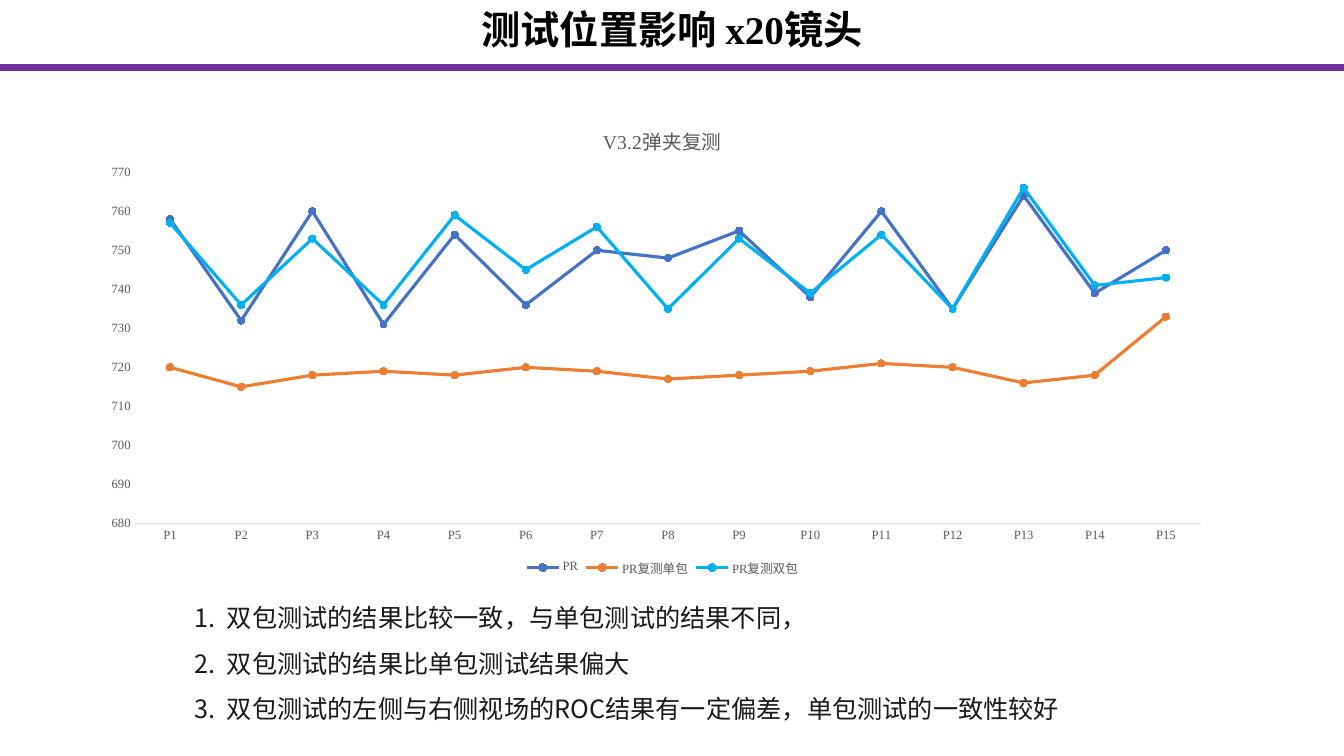
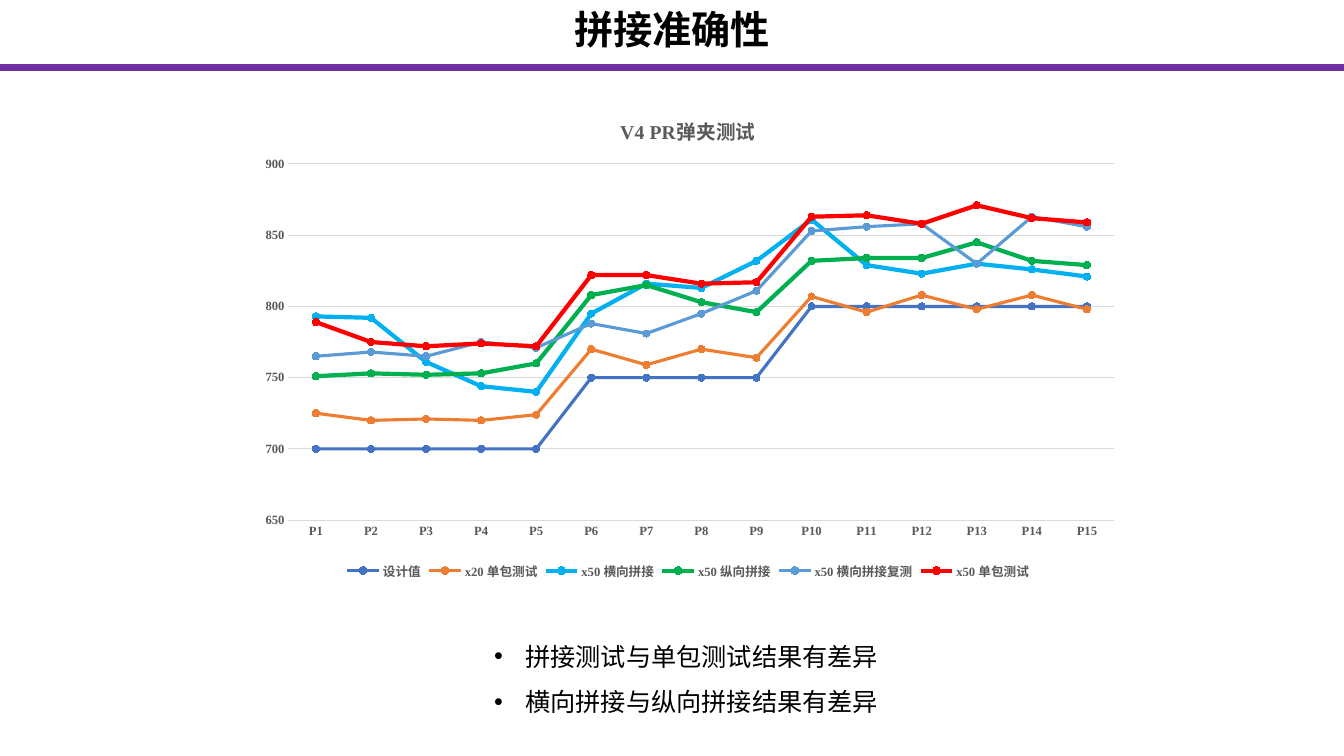
from dataclasses import dataclass
from typing import Any

from lxml.etree import SubElement
from pptx import Presentation
from pptx.chart.data import CategoryChartData
from pptx.dml.color import RGBColor
from pptx.enum.chart import XL_CHART_TYPE as ChartType
from pptx.enum.chart import XL_LEGEND_POSITION as LegendPosition
from pptx.enum.chart import XL_MARKER_STYLE as Marker
from pptx.enum.chart import XL_TICK_MARK as TickMark
from pptx.enum.shapes import MSO_CONNECTOR as Connector
from pptx.enum.text import MSO_ANCHOR as Anchor
from pptx.enum.text import MSO_AUTO_SIZE as AutoSize
from pptx.enum.text import PP_ALIGN as Align
from pptx.oxml import parse_xml
from pptx.oxml.ns import nsdecls, qn
from pptx.util import Inches, Pt

Box = tuple[float, float, float, float]


@dataclass(frozen=True)
class Theme:
    black: str = "000000"
    ink: str = "171A1D"
    gray: str = "595959"
    rule: str = "D9D9D9"
    band: str = "7030A0"
    blue: str = "4472C4"
    orange: str = "ED7D31"
    cyan: str = "00B0F0"
    green: str = "00B050"
    sky: str = "5B9BD5"
    red: str = "FF0000"
    serif: str = "Times New Roman"
    sans: str = "Noto Sans CJK SC"
    title_size: float = 28
    body_size: float = 18
    chart_title_size: float = 14
    label_size: float = 9
    band_width: float = 5
    hairline: float = 0.75


THEME = Theme()
WIDTH, HEIGHT = 13.33, 7.5
BAND_Y = 0.67
POSITIONS = [f"P{number}" for number in range(1, 16)]


@dataclass(frozen=True)
class Curve:
    name: str
    color: str
    values: list[int]
    width: float = 2.25


@dataclass(frozen=True)
class Trend:
    title: str
    box: Box
    plot: Box
    low: int
    high: int
    step: int
    curves: list[Curve]
    bold: bool = False
    grid: bool = False


@dataclass(frozen=True)
class Findings:
    box: Box
    lines: list[str]
    font: str
    color: str
    bullet: str
    bullet_format: dict[str, str]
    indent: float


@dataclass(frozen=True)
class Page:
    title: str
    trend: Trend
    findings: Findings


PAGES = [
    Page(
        "测试位置影响 x20镜头",
        Trend(
            "V3.2弹夹复测", (1, 1.05, 11.14, 4.71), (0.03, 0.14, 0.95, 0.74), 680, 770, 10,
            [
                Curve("PR", THEME.blue,
                      [758, 732, 760, 731, 754, 736, 750, 748, 755, 738, 760, 735, 764, 739, 750]),
                Curve("PR复测单包", THEME.orange,
                      [720, 715, 718, 719, 718, 720, 719, 717, 718, 719, 721, 720, 716, 718, 733]),
                Curve("PR复测双包", THEME.cyan,
                      [757, 736, 753, 736, 759, 745, 756, 735, 753, 739, 754, 735, 766, 741, 743]),
            ],
        ),
        Findings(
            (1.83, 5.78, 9.68, 1.42),
            [
                "双包测试的结果比较一致，与单包测试的结果不同，",
                "双包测试的结果比单包测试结果偏大",
                "双包测试的左侧与右侧视场的ROC结果有一定偏差，单包测试的一致性较好",
            ],
            THEME.sans, THEME.ink, "a:buAutoNum", {"type": "arabicPeriod"}, 0.32,
        ),
    ),
    Page(
        "拼接准确性",
        Trend(
            "V4 PR弹夹测试", (2.42, 0.95, 8.81, 4.84), (0.05, 0.14, 0.93, 0.73), 650, 900, 50,
            [
                Curve("设计值", THEME.blue, [700] * 5 + [750] * 4 + [800] * 6),
                Curve("x20 单包测试", THEME.orange,
                      [725, 720, 721, 720, 724, 770, 759, 770, 764, 807, 796, 808, 798, 808, 798]),
                Curve("x50 横向拼接", THEME.cyan,
                      [793, 792, 761, 744, 740, 795, 816, 813, 832, 861, 829, 823, 830, 826, 821], 3),
                Curve("x50 纵向拼接", THEME.green,
                      [751, 753, 752, 753, 760, 808, 815, 803, 796, 832, 834, 834, 845, 832, 829], 3),
                Curve("x50 横向拼接复测", THEME.sky,
                      [765, 768, 765, 775, 771, 788, 781, 795, 811, 853, 856, 858, 830, 863, 856]),
                Curve("x50 单包测试", THEME.red,
                      [789, 775, 772, 774, 772, 822, 822, 816, 817, 863, 864, 858, 871, 862, 859], 3),
            ],
            bold=True, grid=True,
        ),
        Findings(
            (4.8, 6.16, 4.2, 0.96),
            ["拼接测试与单包测试结果有差异", "横向拼接与纵向拼接结果有差异"],
            THEME.serif, THEME.black, "a:buChar", {"char": "•"}, 0.31,
        ),
    ),
]


def apply(target: Any, values: dict[str, Any]) -> None:
    for attribute, value in values.items():
        setattr(target, attribute, value)


def style_font(font: Any, name: str, size: float, color: str, bold: bool = False) -> None:
    apply(font, {"name": name, "size": Pt(size), "bold": bold})
    font.color.rgb = RGBColor.from_string(color)


def style_line(line: Any, color: str, width: float) -> None:
    line.color.rgb = RGBColor.from_string(color)
    line.width = Pt(width)


def place(holder: Any, box: Box) -> None:
    apply(holder, dict(zip(("left", "top", "width", "height"), map(Inches, box))))
    apply(holder.text_frame, {
        "word_wrap": True,
        "auto_size": AutoSize.NONE,
        "vertical_anchor": Anchor.TOP,
    })


def write(paragraph: Any, text: str, font: str, size: float, color: str, bold: bool = False) -> None:
    run = paragraph.add_run()
    run.text = text
    style_font(run.font, font, size, color, bold)
    SubElement(run._r.get_or_add_rPr(), qn("a:ea"), typeface=THEME.sans)


def draw_header(slide: Any, text: str) -> None:
    band = slide.shapes.add_connector(
        Connector.STRAIGHT, 0, Inches(BAND_Y), Inches(WIDTH), Inches(BAND_Y))
    style_line(band.line, THEME.band, THEME.band_width)
    SubElement(band._element.spPr, qn("a:effectLst"))
    heading = slide.shapes.title
    place(heading, (0, 0, WIDTH, 0.57))
    paragraph = heading.text_frame.paragraphs[0]
    paragraph.alignment = Align.CENTER
    write(paragraph, text, THEME.serif, THEME.title_size, THEME.black, True)


def draw_findings(slide: Any, findings: Findings) -> None:
    body = slide.placeholders[1]
    place(body, findings.box)
    frame = body.text_frame
    for index, text in enumerate(findings.lines):
        paragraph = frame.add_paragraph() if index else frame.paragraphs[0]
        apply(paragraph, {
            "alignment": Align.LEFT,
            "line_spacing": 1.5,
            "space_before": Pt(0),
            "space_after": Pt(0),
        })
        properties = paragraph._p.get_or_add_pPr()
        indent = Inches(findings.indent)
        properties.set("marL", str(indent))
        properties.set("indent", str(-indent))
        SubElement(properties, qn(findings.bullet), findings.bullet_format)
        write(paragraph, text, findings.font, THEME.body_size, findings.color)


def fix_plot(chart: Any, plot: Box) -> None:
    area = chart._chartSpace.chart.plotArea
    for old in area.findall(qn("c:layout")):
        area.remove(old)
    sizes = "".join(f'<c:{key} val="{value}"/>' for key, value in zip("xywh", plot))
    area.insert(0, parse_xml(
        f'<c:layout {nsdecls("c")}><c:manualLayout><c:layoutTarget val="inner"/>'
        f'<c:xMode val="edge"/><c:yMode val="edge"/>{sizes}</c:manualLayout></c:layout>'))


def draw_trend(slide: Any, trend: Trend) -> None:
    data = CategoryChartData(number_format="0")
    data.categories = POSITIONS
    for curve in trend.curves:
        data.add_series(curve.name, curve.values)
    chart = slide.shapes.add_chart(
        ChartType.LINE_MARKERS, *map(Inches, trend.box), data).chart
    style_font(chart.font, THEME.serif, THEME.label_size, THEME.gray, trend.bold)
    write(chart.chart_title.text_frame.paragraphs[0], trend.title,
          THEME.serif, THEME.chart_title_size, THEME.gray, trend.bold)
    chart.chart_title.include_in_layout = False
    chart.has_legend = True
    apply(chart.legend, {"position": LegendPosition.BOTTOM, "include_in_layout": False})

    scale, positions = chart.value_axis, chart.category_axis
    apply(scale, {
        "minimum_scale": trend.low,
        "maximum_scale": trend.high,
        "major_unit": trend.step,
        "has_major_gridlines": trend.grid,
    })
    for axis in (scale, positions):
        apply(axis, {"major_tick_mark": TickMark.NONE, "minor_tick_mark": TickMark.NONE})
    scale.format.line.fill.background()
    style_line(positions.format.line, THEME.rule, THEME.hairline)
    if trend.grid:
        style_line(scale.major_gridlines.format.line, THEME.rule, THEME.hairline)

    chart.plots[0].vary_by_categories = False
    for series, curve in zip(chart.plots[0].series, trend.curves):
        series.smooth = False
        style_line(series.format.line, curve.color, curve.width)
        apply(series.marker, {"style": Marker.CIRCLE, "size": 5})
        series.marker.format.fill.solid()
        series.marker.format.fill.fore_color.rgb = RGBColor.from_string(curve.color)
        style_line(series.marker.format.line, curve.color, THEME.hairline)
    fix_plot(chart, trend.plot)


def main() -> None:
    deck = Presentation()
    apply(deck, {"slide_width": Inches(WIDTH), "slide_height": Inches(HEIGHT)})
    for page in PAGES:
        slide = deck.slides.add_slide(deck.slide_layouts[1])
        draw_header(slide, page.title)
        draw_trend(slide, page.trend)
        draw_findings(slide, page.findings)
    deck.save("out.pptx")


if __name__ == "__main__":
    main()
